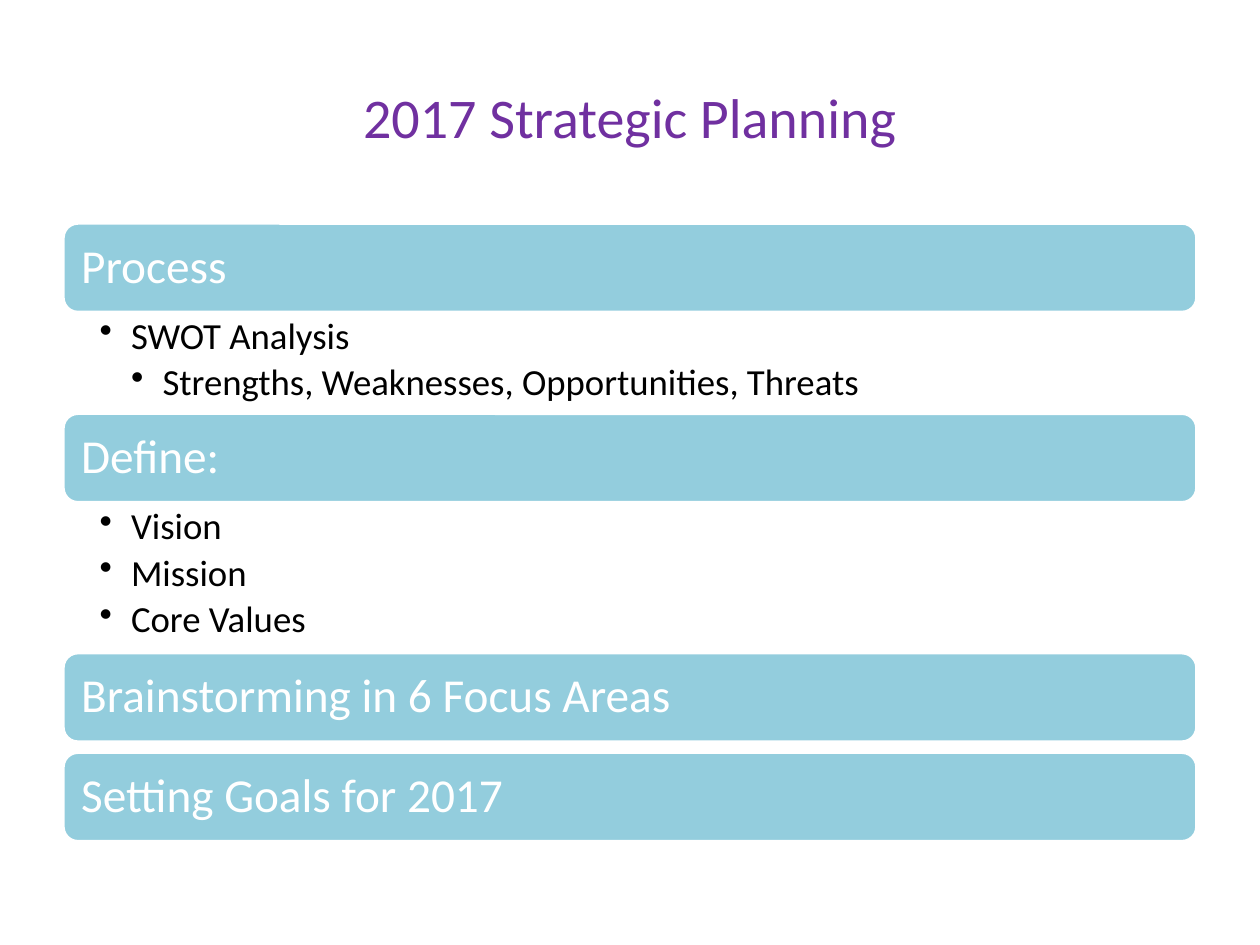
import pptx
import pptx.util
import pptx.dml.color
import pptx.enum.shapes
import pptx.enum.text
import pptx.oxml.ns
from lxml import etree

PURPLE = pptx.dml.color.RGBColor(0x70, 0x30, 0xA0)
AQUA = pptx.dml.color.RGBColor(0x93, 0xCD, 0xDD)
WHITE = pptx.dml.color.RGBColor(0xFF, 0xFF, 0xFF)
BLACK = pptx.dml.color.RGBColor(0x00, 0x00, 0x00)

COLS, ROWS = 100, 75
LEFT, WIDTH = 5, 90
TITLE_TOP, TITLE_H = 3, 12.5
LIST_TOP, BAR_H, GAP = 17.7, 7.1, 0.8

# Heading, height of its bullet block in rows, (level, text) bullets
SECTIONS = [
    ("Process", 8, [(1, "SWOT Analysis"),
                    (2, "Strengths, Weaknesses, Opportunities, Threats")]),
    ("Define:", 11.9, [(1, "Vision"), (1, "Mission"), (1, "Core Values")]),
    ("Brainstorming in 6 Focus Areas", GAP, []),
    ("Setting Goals for 2017", GAP, []),
]


class Deck:
    """Holds the style and the current slide; places parts on a grid."""

    font = "Calibri"
    title_size, bar_size, bullet_size = 32, 27, 21
    indent = 0.25

    def __init__(self):
        self.prs = pptx.Presentation()
        self.prs.slide_width = pptx.util.Inches(10)
        self.prs.slide_height = pptx.util.Inches(7.5)
        self.s = self.prs.slides.add_slide(self.prs.slide_layouts[6])

    def box(self, top, height):
        col = self.prs.slide_width / COLS
        row = self.prs.slide_height / ROWS
        return [round(v) for v in (LEFT * col, top * row, WIDTH * col, height * row)]

    def frame(self, sp, left, top, right, bottom, anchor):
        tf = sp.text_frame
        tf.word_wrap = True
        tf.vertical_anchor = anchor
        tf.margin_left, tf.margin_top, tf.margin_right, tf.margin_bottom = (
            pptx.util.Inches(v) for v in (left, top, right, bottom))
        return tf

    def style(self, p, size, color, align=pptx.enum.text.PP_ALIGN.LEFT):
        p.alignment = align
        for r in p.runs:
            r.font.name = self.font
            r.font.size = pptx.util.Pt(size)
            r.font.color.rgb = color

    def title(self, text):
        sp = self.s.shapes.add_textbox(*self.box(TITLE_TOP, TITLE_H))
        tf = self.frame(sp, 0.1, 0.05, 0.1, 0.05, pptx.enum.text.MSO_ANCHOR.MIDDLE)
        tf.text = text
        self.style(tf.paragraphs[0], self.title_size, PURPLE,
                   pptx.enum.text.PP_ALIGN.CENTER)

    def bar(self, top, text):
        sp = self.s.shapes.add_shape(
            pptx.enum.shapes.MSO_SHAPE.ROUNDED_RECTANGLE, *self.box(top, BAR_H))
        sp.shadow.inherit = False
        sp.fill.solid()
        sp.fill.fore_color.rgb = AQUA
        sp.line.color.rgb = WHITE
        sp.line.width = pptx.util.Pt(2)
        tf = self.frame(sp, 0.11, 0.11, 0.11, 0.11, pptx.enum.text.MSO_ANCHOR.MIDDLE)
        tf.text = text
        p = tf.paragraphs[0]
        p.line_spacing = 0.9
        self.style(p, self.bar_size, WHITE)

    def bullets(self, top, height, items):
        sp = self.s.shapes.add_textbox(*self.box(top, height))
        tf = self.frame(sp, 0.29, 0.04, 0.21, 0.04, pptx.enum.text.MSO_ANCHOR.TOP)
        tf.text = "\n".join(text for _, text in items)
        for p, (level, _) in zip(tf.paragraphs, items):
            p.level = level
            p.line_spacing = 0.9
            p.space_after = pptx.util.Pt(4)
            self.style(p, self.bullet_size, BLACK)
            # Hanging bullet
            pPr = p._p.get_or_add_pPr()
            pPr.set("marL", str(pptx.util.Inches(self.indent * level)))
            pPr.set("indent", str(pptx.util.Inches(-self.indent)))
            bu = etree.SubElement(pPr, pptx.oxml.ns.qn("a:buChar"))
            bu.set("char", "•")


def main():
    deck = Deck()
    deck.title("2017 Strategic Planning")

    # Stack heading bars, each followed by its bullets or a gap
    top = LIST_TOP
    for heading, height, items in SECTIONS:
        deck.bar(top, heading)
        top += BAR_H
        if items:
            deck.bullets(top, height, items)
        top += height

    deck.prs.save("out.pptx")


if __name__ == "__main__":
    main()
